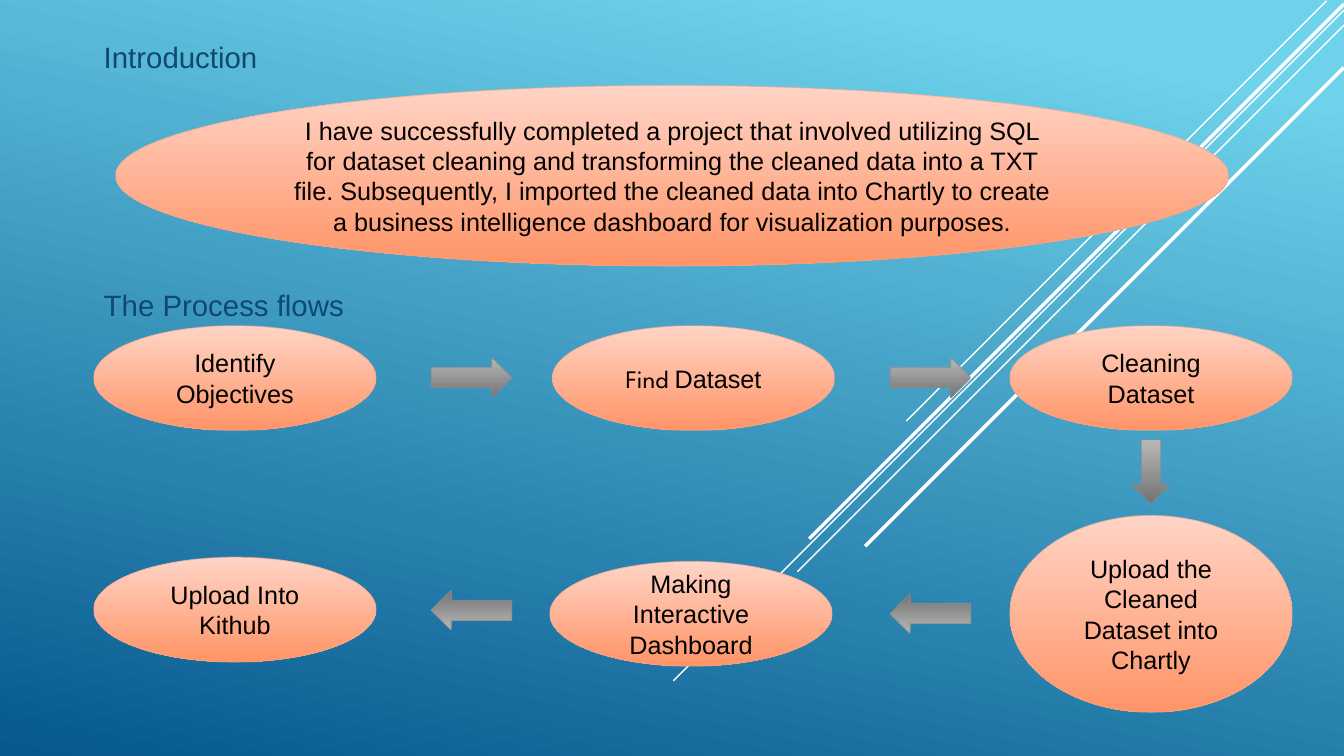
from dataclasses import dataclass

import pptx
import pptx.dml.color
import pptx.dml.fill
import pptx.enum.shapes
import pptx.enum.text
import pptx.oxml.ns
import pptx.oxml.xmlchemy
import pptx.shapes.autoshape
import pptx.slide
import pptx.text.text
import pptx.util

RGBColor = pptx.dml.color.RGBColor
Pt = pptx.util.Pt
Shape = pptx.enum.shapes.MSO_SHAPE

SKY = RGBColor(0x6E, 0xD2, 0xEB)
DEEP_BLUE = RGBColor(0x06, 0x58, 0x8E)
HEADING_BLUE = RGBColor(0x0F, 0x49, 0x6F)
PEACH = RGBColor(0xFF, 0xD4, 0xC6)
ORANGE = RGBColor(0xFF, 0x94, 0x67)
ORANGE_EDGE = RGBColor(0xEE, 0xA7, 0x8F)
LIGHT_GRAY = RGBColor(0xB8, 0xB8, 0xB8)
DARK_GRAY = RGBColor(0x73, 0x73, 0x73)
GRAY_EDGE = RGBColor(0x89, 0x89, 0x89)
WHITE = RGBColor(0xFF, 0xFF, 0xFF)
BLACK = RGBColor(0, 0, 0)

SLIDE_WIDTH, SLIDE_HEIGHT = 960, 540
STEP_WIDTH, STEP_HEIGHT = 201.6, 74.9
ARROW_LENGTH, ARROW_BREADTH = 57.6, 28.4
LEFT_STEP, MIDDLE_STEP, RIGHT_STEP = 67, 394.6, 721.4
LEFT_ARROW, RIGHT_ARROW = 308, 635.8
TOP_ROW = 232.6


@dataclass(frozen=True)
class Span:
    text: str
    font: str = "Arial"


@dataclass(frozen=True)
class Bubble:
    left: float
    top: float
    spans: tuple[Span, ...]
    width: float = STEP_WIDTH
    height: float = STEP_HEIGHT


@dataclass(frozen=True)
class Arrow:
    left: float
    top: float
    width: float = ARROW_LENGTH
    height: float = ARROW_BREADTH
    kind: Shape = Shape.RIGHT_ARROW
    rotation: float = 0


@dataclass(frozen=True)
class Ray:
    right: float
    top: float
    reach: float
    weight: float


@dataclass(frozen=True)
class Heading:
    top: float
    text: str


RAYS = (
    Ray(947.5, 0.7, 300, 1),
    Ray(SLIDE_WIDTH, 7.2, 479, 1),
    Ray(SLIDE_WIDTH, 18, 390.4, 1),
    Ray(SLIDE_WIDTH, 2.9, 382, 2.5),
    Ray(SLIDE_WIDTH, 48.2, 342, 2.5),
)

HEADINGS = (Heading(28, "Introduction"), Heading(205, "The Process flows"))

SUMMARY = (
    "I have successfully completed a project that involved utilizing SQL for dataset "
    "cleaning and transforming the cleaned data into a TXT file. Subsequently, I imported "
    "the cleaned data into Chartly to create a business intelligence dashboard for "
    "visualization purposes."
)

BUBBLES = (
    Bubble(82.6, 61, (Span(SUMMARY),), 795, 129),
    Bubble(LEFT_STEP, TOP_ROW, (Span("Identify Objectives"),)),
    Bubble(MIDDLE_STEP, TOP_ROW, (Span("Find ", "League Spartan"), Span("Dataset"))),
    Bubble(RIGHT_STEP, TOP_ROW, (Span("Cleaning Dataset"),)),
    Bubble(RIGHT_STEP, 368.2, (Span("Upload the Cleaned Dataset into Chartly"),), height=140.6),
    Bubble(392.8, 401, (Span("Making Interactive Dashboard"),)),
    Bubble(LEFT_STEP, 398, (Span("Upload Into Kithub"),)),
)

ARROWS = (
    Arrow(LEFT_ARROW, 255.6),
    Arrow(RIGHT_ARROW, 255.6),
    Arrow(808.4, 314, 27.4, 45.6, Shape.DOWN_ARROW),
    Arrow(RIGHT_ARROW, 424.2, rotation=180),
    Arrow(LEFT_ARROW, 421.8, rotation=180),
)


def paint_gradient(
    fill: pptx.dml.fill.FillFormat,
    first: RGBColor,
    last: RGBColor,
    clockwise_angle: float = 90,
    start: float = 0,
) -> None:
    fill.gradient()
    fill.gradient_angle = 360 - clockwise_angle
    for stop, color, position in zip(fill.gradient_stops, (first, last), (start, 1)):
        stop.color.rgb = color
        stop.position = position


def add_shape(
    page: pptx.slide.Slide,
    kind: Shape,
    item: Bubble | Arrow,
    first: RGBColor,
    last: RGBColor,
    edge: RGBColor,
) -> pptx.shapes.autoshape.Shape:
    shape = page.shapes.add_shape(
        kind, Pt(item.left), Pt(item.top), Pt(item.width), Pt(item.height)
    )
    shape.shadow.inherit = False
    paint_gradient(shape.fill, first, last)
    shape.line.color.rgb = edge
    shape.line.width = Pt(0.75)
    outline = shape._element.spPr.find(pptx.oxml.ns.qn("a:ln"))
    edge_color = outline.find(".//" + pptx.oxml.ns.qn("a:srgbClr"))
    alpha = pptx.oxml.xmlchemy.OxmlElement("a:alpha")
    alpha.set("val", "60000")
    edge_color.append(alpha)
    return shape


def add_span(para: pptx.text.text._Paragraph, span: Span, size: float, color: RGBColor) -> None:
    run = para.add_run()
    run.text = span.text
    run.font.name = span.font
    run.font.size = Pt(size)
    run.font.color.rgb = color


def add_bubble(page: pptx.slide.Slide, bubble: Bubble) -> None:
    shape = add_shape(page, Shape.OVAL, bubble, PEACH, ORANGE, ORANGE_EDGE)
    frame = shape.text_frame
    frame.word_wrap = True
    frame.vertical_anchor = pptx.enum.text.MSO_ANCHOR.MIDDLE
    para = frame.paragraphs[0]
    para.alignment = pptx.enum.text.PP_ALIGN.CENTER
    for span in bubble.spans:
        add_span(para, span, 18, BLACK)


def add_arrow(page: pptx.slide.Slide, arrow: Arrow) -> None:
    shape = add_shape(page, arrow.kind, arrow, LIGHT_GRAY, DARK_GRAY, GRAY_EDGE)
    shape.rotation = arrow.rotation


def add_ray(page: pptx.slide.Slide, ray: Ray) -> None:
    line = page.shapes.add_connector(
        pptx.enum.shapes.MSO_CONNECTOR.STRAIGHT,
        Pt(ray.right),
        Pt(ray.top),
        Pt(ray.right - ray.reach),
        Pt(ray.top + ray.reach),
    )
    line.line.color.rgb = WHITE
    line.line.width = Pt(ray.weight)
    line._element.spPr.append(pptx.oxml.xmlchemy.OxmlElement("a:effectLst"))


def add_heading(page: pptx.slide.Slide, heading: Heading) -> None:
    box = page.shapes.add_textbox(Pt(LEFT_STEP), Pt(heading.top), Pt(400), Pt(25))
    frame = box.text_frame
    frame.word_wrap = True
    frame.margin_top = frame.margin_bottom = 0
    add_span(frame.paragraphs[0], Span(heading.text), 21, HEADING_BLUE)


def main() -> None:
    deck = pptx.Presentation()
    deck.slide_width, deck.slide_height = Pt(SLIDE_WIDTH), Pt(SLIDE_HEIGHT)
    page = deck.slides.add_slide(deck.slide_layouts[6])
    paint_gradient(page.background.fill, SKY, DEEP_BLUE, 102, 0.1)
    for ray in RAYS:
        add_ray(page, ray)
    for heading in HEADINGS:
        add_heading(page, heading)
    for bubble in BUBBLES:
        add_bubble(page, bubble)
    for arrow in ARROWS:
        add_arrow(page, arrow)
    deck.save("out.pptx")


if __name__ == "__main__":
    main()
